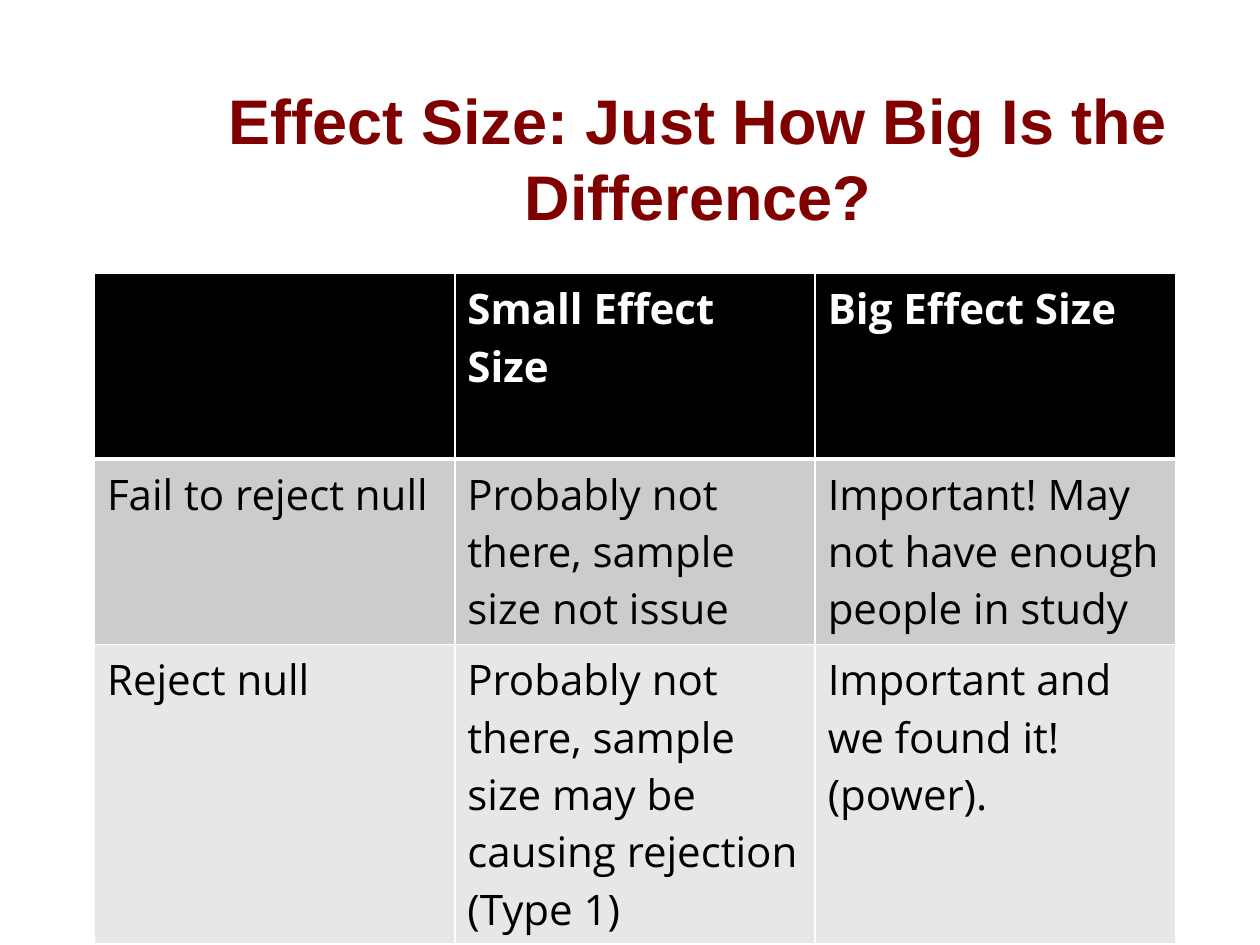
from dataclasses import dataclass

from lxml import etree
from pptx import Presentation
from pptx.dml.color import RGBColor
from pptx.enum.text import MSO_ANCHOR, PP_ALIGN
from pptx.oxml.ns import qn
from pptx.util import Inches, Pt


@dataclass(frozen=True)
class Theme:
    title_font: str = "Arial"
    table_font: str = "Open Sans"
    title_size: int = 36
    table_size: int = 24
    title_color: str = "800000"
    header_text: str = "FFFFFF"
    body_text: str = "000000"
    border: str = "FFFFFF"
    row_fills: tuple = ("000000", "CCCCCC", "E7E7E7")


theme = Theme()


def style_text(text_frame, font_name, size, color, bold):
    for paragraph in text_frame.paragraphs:
        for run in paragraph.runs:
            run.font.name = font_name
            run.font.size = Pt(size)
            run.font.bold = bold
            run.font.color.rgb = RGBColor.from_string(color)


def set_borders(cell, widths):
    """Draw the left, right, top and bottom borders, widths in points."""
    properties = cell._tc.get_or_add_tcPr()
    for position, (side, width) in enumerate(zip("LRTB", widths)):
        line = etree.Element(qn(f"a:ln{side}"), w=str(Pt(width)))
        fill = etree.SubElement(line, qn("a:solidFill"))
        etree.SubElement(fill, qn("a:srgbClr"), val=theme.border)
        properties.insert(position, line)


presentation = Presentation()
presentation.slide_width = Inches(10)
presentation.slide_height = Inches(7.5)
slide = presentation.slides.add_slide(presentation.slide_layouts[6])

# Effect size table
outcomes = [
    ["", "Small Effect Size", "Big Effect Size"],
    ["Fail to reject null",
     "Probably not there, sample size not issue",
     "Important! May not have enough people in study"],
    ["Reject null",
     "Probably not there, sample size may be causing rejection (Type 1)",
     "Important and we found it! (power)."],
]
effect_table = slide.shapes.add_table(
    len(outcomes), len(outcomes[0]),
    Inches(0.75), Inches(2.17), Inches(8.58), Inches(4.42),
).table

for row, texts in enumerate(outcomes):
    is_header = row == 0
    color = theme.header_text if is_header else theme.body_text
    # The header is set off by a thicker line below it
    bottom = 3 if is_header else 1
    top = 3 if row == 1 else 1
    for column, text in enumerate(texts):
        cell = effect_table.cell(row, column)
        cell.text_frame.text = text
        cell.fill.solid()
        cell.fill.fore_color.rgb = RGBColor.from_string(theme.row_fills[row])
        set_borders(cell, (1, 1, top, bottom))
        style_text(cell.text_frame, theme.table_font, theme.table_size,
                   color, is_header)

# Title
title = slide.shapes.add_textbox(
    Inches(1.08), Inches(1), Inches(8.92), Inches(0.5)).text_frame
title.word_wrap = True
title.vertical_anchor = MSO_ANCHOR.MIDDLE
title.text = "Effect Size: Just How Big Is the Difference?"
title.paragraphs[0].alignment = PP_ALIGN.CENTER
style_text(title, theme.title_font, theme.title_size, theme.title_color, True)

presentation.save("out.pptx")
